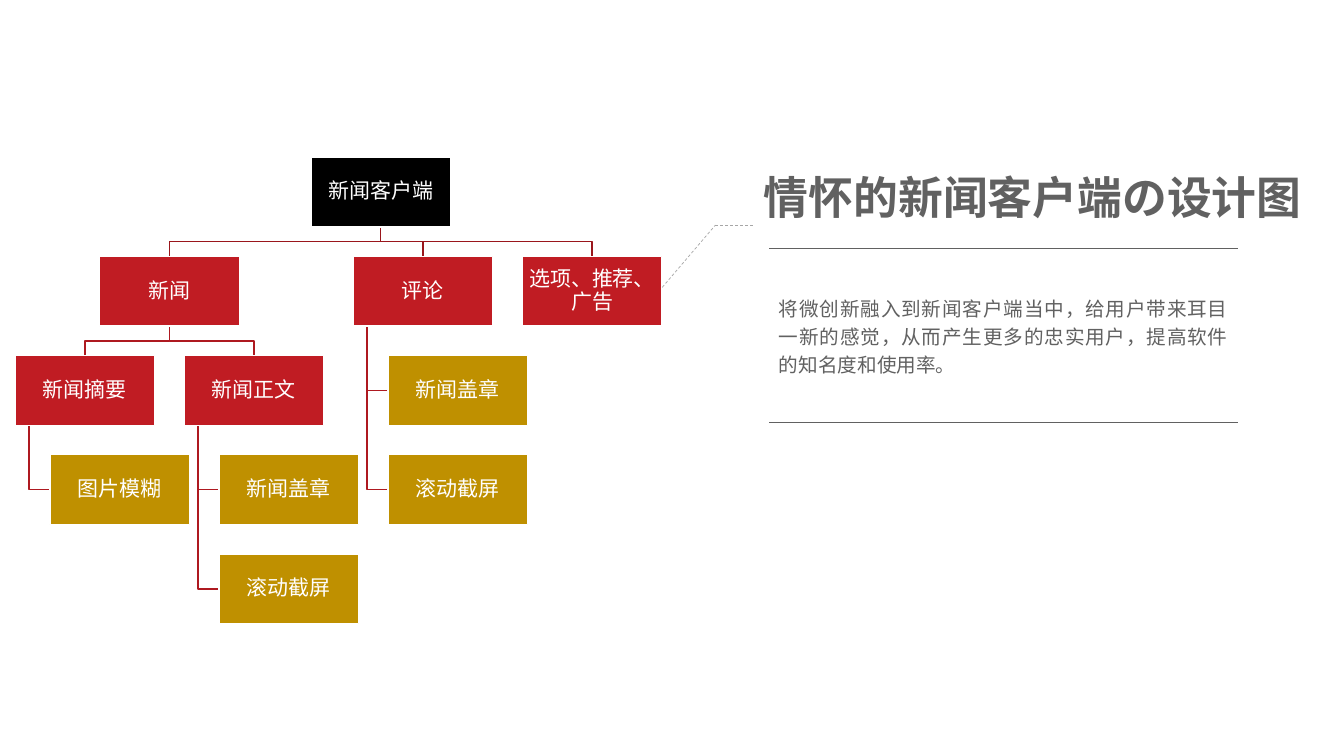
from pptx import Presentation
from pptx.dml.color import RGBColor as RGB
from pptx.enum.dml import MSO_LINE as Dash
from pptx.enum.lang import MSO_LANGUAGE_ID as Lang
from pptx.enum.shapes import MSO_CONNECTOR as Conn, MSO_SHAPE as Geo
from pptx.enum.text import MSO_ANCHOR as Anchor, MSO_AUTO_SIZE as Fit, PP_ALIGN as Align
from pptx.oxml.ns import qn
from pptx.util import Cm, Pt
from lxml.etree import SubElement as Sub

BLACK = RGB(0x00, 0x00, 0x00)
WHITE = RGB(0xFF, 0xFF, 0xFF)
RED = RGB(0xC0, 0x1C, 0x23)
GOLD = RGB(0xBF, 0x90, 0x00)
DEEP = RGB(0x9A, 0x16, 0x1C)
WINE = RGB(0xAE, 0x19, 0x20)
GREY = RGB(0x61, 0x61, 0x61)
PALE = RGB(0xA6, 0xA6, 0xA6)

# Chart grid in cm: box size, first corner, steps and indent
WIDE, HIGH = 3.52, 1.76
LEFT, TOP = 0.38, 3.96
STEP, ROW, INDENT = 2.13, 2.5, 0.88
STUB = 0.37

# Nodes: key -> (text, half column, row, parent)
NODES = {
    "root": ("新闻客户端", 3.5, 0, None),
    "news": ("新闻", 1, 1, "root"),
    "talk": ("评论", 4, 1, "root"),
    "more": ("选项、推荐、广告", 6, 1, "root"),
    "brief": ("新闻摘要", 0, 2, "news"),
    "body": ("新闻正文", 2, 2, "news"),
}
# Leaves hang to the side of a node: (text, row, parent)
LEAVES = [
    ("图片模糊", 3, "brief"),
    ("新闻盖章", 3, "body"),
    ("滚动截屏", 4, "body"),
    ("新闻盖章", 2, "talk"),
    ("滚动截屏", 3, "talk"),
]


class Page:
    body = {"name": "Noto Sans CJK SC", "size": Pt(14)}
    title = {"name": "Noto Sans CJK SC", "size": Pt(32), "bold": True}
    label = {"name": "Karla", "size": Pt(15)}

    def __init__(self, slide):
        self.shapes = slide.shapes

    def words(self, frame, text, style, color, para):
        p = frame.paragraphs[0]
        for key, val in para.items():
            setattr(p, key, val)
        run = p.add_run()
        run.text = text
        for key, val in style.items():
            setattr(run.font, key, val)
        run.font.language_id = Lang.SIMPLIFIED_CHINESE
        run.font.color.rgb = color
        Sub(run._r.get_or_add_rPr(), qn("a:ea"), typeface=style["name"])

    def text(self, x, y, w, h, text, style):
        frame = self.shapes.add_textbox(Cm(x), Cm(y), Cm(w), Cm(h)).text_frame
        frame.word_wrap = True
        frame.auto_size = Fit.SHAPE_TO_FIT_TEXT
        para = {"alignment": Align.JUSTIFY, "line_spacing": 1.2}
        self.words(frame, text, style, GREY, para)

    def line(self, x1, y1, x2, y2, color, dash=None):
        line = self.shapes.add_connector(Conn.STRAIGHT, Cm(x1), Cm(y1), Cm(x2), Cm(y2))
        for key, val in {"width": Pt(0.5), "dash_style": dash}.items():
            setattr(line.line, key, val)
        line.line.color.rgb = color
        Sub(line._element.spPr, qn("a:effectLst"))

    def elbow(self, points, color):
        first, *rest = [(Cm(x), Cm(y)) for x, y in points]
        pen = self.shapes.build_freeform(*first)
        pen.add_line_segments(rest, close=False)
        shape = pen.convert_to_shape()
        shape.shadow.inherit = False
        shape.fill.background()
        shape.line.color.rgb = color
        shape.line.width = Pt(1)

    def box(self, x, y, text, fill):
        shape = self.shapes.add_shape(Geo.RECTANGLE, Cm(x), Cm(y), Cm(WIDE), Cm(HIGH))
        shape.shadow.inherit = False
        shape.fill.solid()
        shape.fill.fore_color.rgb = fill
        shape.line.color.rgb = WHITE
        shape.line.width = Pt(1)
        frame = shape.text_frame
        sides = ("left", "top", "right", "bottom")
        look = {f"margin_{side}": Cm(0.03) for side in sides}
        look |= {"word_wrap": True, "vertical_anchor": Anchor.MIDDLE}
        for key, val in look.items():
            setattr(frame, key, val)
        para = {"alignment": Align.CENTER, "line_spacing": 0.9}
        self.words(frame, text, self.label, WHITE, para)


def spot(key):
    _, col, row, _ = NODES[key]
    return LEFT + col * STEP, TOP + row * ROW


def main():
    deck = Presentation()
    deck.slide_width, deck.slide_height = Cm(33.87), Cm(19.05)
    page = Page(deck.slides.add_slide(deck.slide_layouts[6]))

    # Heading and summary between two rules
    page.text(19.38, 7.24, 11.81, 2.41,
              "将微创新融入到新闻客户端当中，给用户带来耳目一新的感觉，"
              "从而产生更多的忠实用户，提高软件的知名度和使用率。", page.body)
    page.text(19, 3.89, 14.76, 1.9, "情怀的新闻客户端の设计图", page.title)
    for y in (6.25, 10.64):
        page.line(19.38, y, 31.19, y, GREY)

    # Dashed callout from the chart to the heading
    page.line(16.69, 7.24, 18.03, 5.67, PALE, Dash.DASH)
    page.line(18.03, 5.67, 19, 5.67, PALE, Dash.DASH)

    # Links lie below the boxes
    for _, row, up in LEAVES:
        x, y = spot(up)
        stem, mid = x + 0.35, TOP + row * ROW + HIGH / 2
        page.elbow([(stem, y + HIGH), (stem, mid), (x + INDENT, mid)], WINE)
    for key, (_, _, _, up) in NODES.items():
        if up:
            (x, y), (px, py) = spot(key), spot(up)
            x, px, bend = x + WIDE / 2, px + WIDE / 2, y - STUB
            page.elbow([(px, py + HIGH), (px, bend), (x, bend), (x, y)],
                       DEEP if up == "root" else WINE)

    # Boxes
    for key, (text, _, _, up) in NODES.items():
        page.box(*spot(key), text, RED if up else BLACK)
    for text, row, up in LEAVES:
        page.box(spot(up)[0] + INDENT, TOP + row * ROW, text, GOLD)

    deck.save("out.pptx")


if __name__ == "__main__":
    main()
